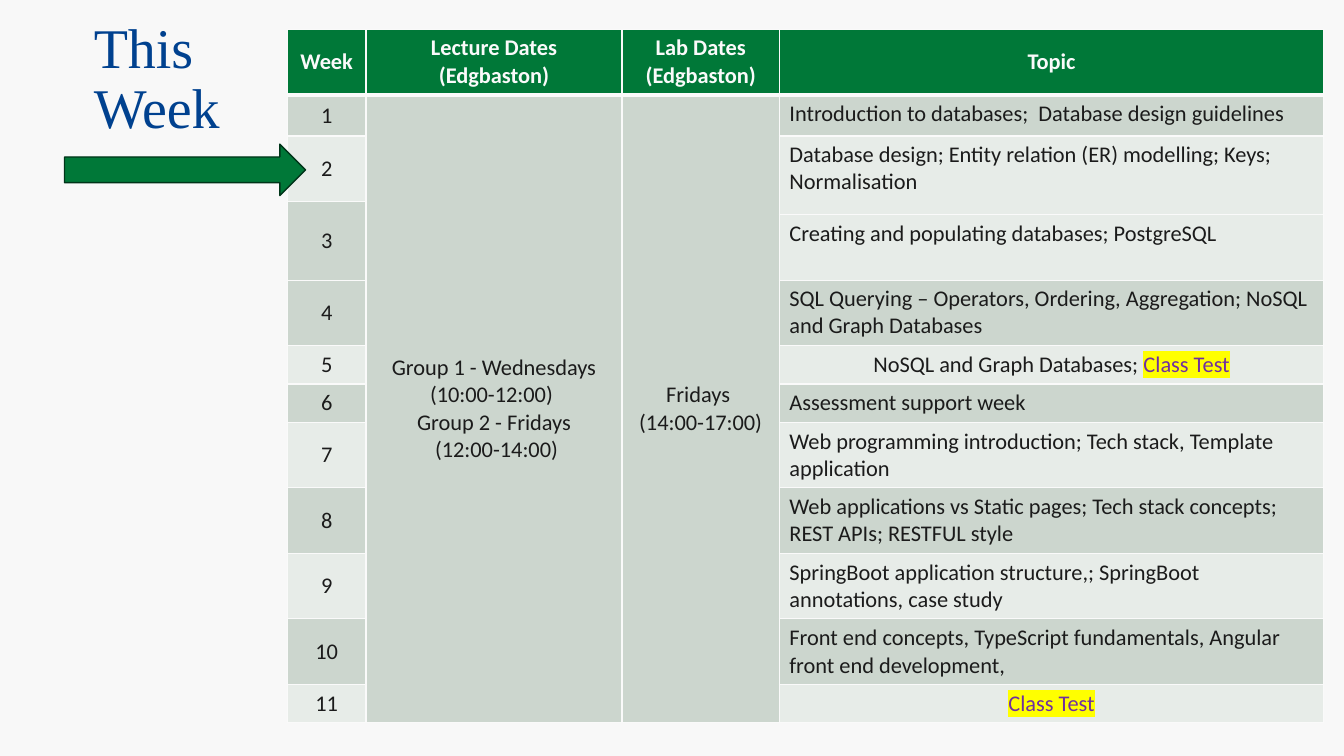
from lxml.etree import SubElement
from pptx import Presentation
from pptx.dml.color import RGBColor
from pptx.enum.shapes import MSO_SHAPE
from pptx.enum.text import MSO_ANCHOR, MSO_AUTO_SIZE, PP_ALIGN
from pptx.oxml import parse_xml
from pptx.oxml.ns import nsdecls, qn
from pptx.util import Inches, Pt

BACKGROUND = RGBColor(0xF8, 0xF8, 0xF8)
WHITE = RGBColor(0xFA, 0xFA, 0xFA)
GREEN = RGBColor(0x00, 0x78, 0x38)
DARK_GREEN = RGBColor(0x00, 0x35, 0x19)
BAND_DARK = RGBColor(0xCC, 0xD6, 0xCE)
BAND_LIGHT = RGBColor(0xE7, 0xEC, 0xE8)
INK = RGBColor(0x1B, 0x1B, 0x1B)
BLUE = RGBColor(0x00, 0x41, 0x8F)
PURPLE = RGBColor(0x70, 0x30, 0xA0)
YELLOW = RGBColor(0xFF, 0xFF, 0x00)

COL_WIDTHS = [0.78, 2.54, 1.56, 5.4]
ROW_HEIGHTS = [0.65, 0.41, 0.65, 0.13, 0.65, 0.65, 0.38, 0.38, 0.65, 0.65, 0.65, 0.65, 0.38]
HEADERS = ["Week", "Lecture Dates (Edgbaston)", "Lab Dates (Edgbaston)", "Topic"]
LECTURES = ["Group 1 - Wednesdays (10:00-12:00) ", "Group 2 - Fridays", " (12:00-14:00)"]
LABS = ["Fridays ", "(14:00-17:00)"]
TEST = "Class Test"
WEEK_ROWS = [1, 2, 3, 5, 6, 7, 8, 9, 10, 11, 12]
TOPIC_ROWS = [1, 2, 4, 5, 6, 7, 8, 9, 10, 11, 12]
LAST_TOP_ROW = 6
TOPICS = [
    "Introduction to databases;  Database design guidelines",
    "Database design; Entity relation (ER) modelling; Keys; Normalisation",
    "Creating and populating databases; PostgreSQL",
    "SQL Querying – Operators, Ordering, Aggregation; NoSQL and Graph Databases",
    "NoSQL and Graph Databases; " + TEST,
    "Assessment support week",
    "Web programming introduction; Tech stack, Template application",
    "Web applications vs Static pages; Tech stack concepts; REST APIs; RESTFUL style",
    "SpringBoot application structure,; SpringBoot annotations, case study",
    "Front end concepts, TypeScript fundamentals, Angular front end development, ",
    TEST,
]


def add_run(p, text, color, bold=False, size=16, font="Calibri"):
    r = p.add_run()
    r.text = text
    r.font.size = Pt(size)
    r.font.name = font
    r.font.bold = bold
    r.font.color.rgb = color
    return r


def add_test(p):
    r = add_run(p, TEST, PURPLE)
    highlight = parse_xml(f'<a:highlight {nsdecls("a")}><a:srgbClr val="{YELLOW}"/></a:highlight>')
    r.font.fill  # noqa
    r.font._element.find(qn("a:solidFill")).addnext(highlight)


def style_cell(cell, fill, bottom=1):
    tcPr = cell._tc.get_or_add_tcPr()
    for side, width in (("lnL", 1), ("lnR", 1), ("lnT", 1), ("lnB", bottom)):
        ln = SubElement(tcPr, qn(f"a:{side}"), w=str(Pt(width)))
        solid = SubElement(ln, qn("a:solidFill"))
        SubElement(solid, qn("a:srgbClr"), val=str(WHITE))
    cell.fill.solid()
    cell.fill.fore_color.rgb = fill


def write_cell(cell, lines, color=INK, bold=False, align=PP_ALIGN.CENTER, anchor=MSO_ANCHOR.MIDDLE):
    cell.vertical_anchor = anchor
    tf = cell.text_frame
    for i, line in enumerate(lines):
        p = tf.add_paragraph() if i else tf.paragraphs[0]
        p.alignment = align
        plain = line.removesuffix(TEST)
        if plain:
            add_run(p, plain, color, bold)
        if plain != line:
            add_test(p)


def add_title(s, x, y, w, h):
    title = s.shapes.title
    title.left, title.top, title.width, title.height = map(Inches, (x, y, w, h))
    tf = title.text_frame
    tf.word_wrap = True
    tf.auto_size = MSO_AUTO_SIZE.NONE
    tf.vertical_anchor = MSO_ANCHOR.MIDDLE
    p = tf.paragraphs[0]
    p.alignment = PP_ALIGN.LEFT
    p.line_spacing = 0.9
    add_run(p, "This Week", BLUE, size=40, font="Times New Roman")


def add_schedule(s, x, y, w, h):
    frame = s.shapes.add_table(len(ROW_HEIGHTS), len(COL_WIDTHS), *map(Inches, (x, y, w, h)))
    table = frame.table
    table.horz_banding = False
    for col, width in zip(table.columns, COL_WIDTHS):
        col.width = Inches(width)
    for i, (row, height) in enumerate(zip(table.rows, ROW_HEIGHTS)):
        row.height = Inches(height)
        band = BAND_DARK if i % 2 else BAND_LIGHT
        for cell in row.cells:
            style_cell(cell, band if i else GREEN, 1 if i else 3)

    last = len(ROW_HEIGHTS) - 1
    for col, top, bottom in ((0, 3, 4), (1, 1, last), (2, 1, last), (3, 2, 3)):
        table.cell(top, col).merge(table.cell(bottom, col))

    for col, header in enumerate(HEADERS):
        write_cell(table.cell(0, col), [header], WHITE, bold=True)
    write_cell(table.cell(1, 1), LECTURES)
    write_cell(table.cell(1, 2), LABS)
    for week, row in enumerate(WEEK_ROWS, 1):
        write_cell(table.cell(row, 0), [str(week)])
    for row, topic in zip(TOPIC_ROWS, TOPICS):
        align = PP_ALIGN.CENTER if topic.endswith(TEST) else PP_ALIGN.LEFT
        anchor = MSO_ANCHOR.TOP if row <= LAST_TOP_ROW else MSO_ANCHOR.MIDDLE
        write_cell(table.cell(row, 3), [topic], align=align, anchor=anchor)


def add_week_arrow(s, x, y, w, h):
    sp = s.shapes.add_shape(MSO_SHAPE.RIGHT_ARROW, *map(Inches, (x, y, w, h)))
    sp.shadow.inherit = False
    sp.fill.solid()
    sp.fill.fore_color.rgb = GREEN
    sp.line.color.rgb = DARK_GREEN
    sp.line.width = Pt(1)


def main():
    prs = Presentation()
    prs.slide_width, prs.slide_height = Inches(13.33), Inches(7.5)
    s = prs.slides.add_slide(prs.slide_layouts[5])
    s.background.fill.solid()
    s.background.fill.fore_color.rgb = BACKGROUND
    add_title(s, 0.83, 0.48, 2.01, 0.63)
    add_schedule(s, 2.85, 0.29, 10.28, 6.86)
    add_week_arrow(s, 0.64, 1.43, 2.39, 0.51)
    prs.save("out.pptx")


if __name__ == "__main__":
    main()
